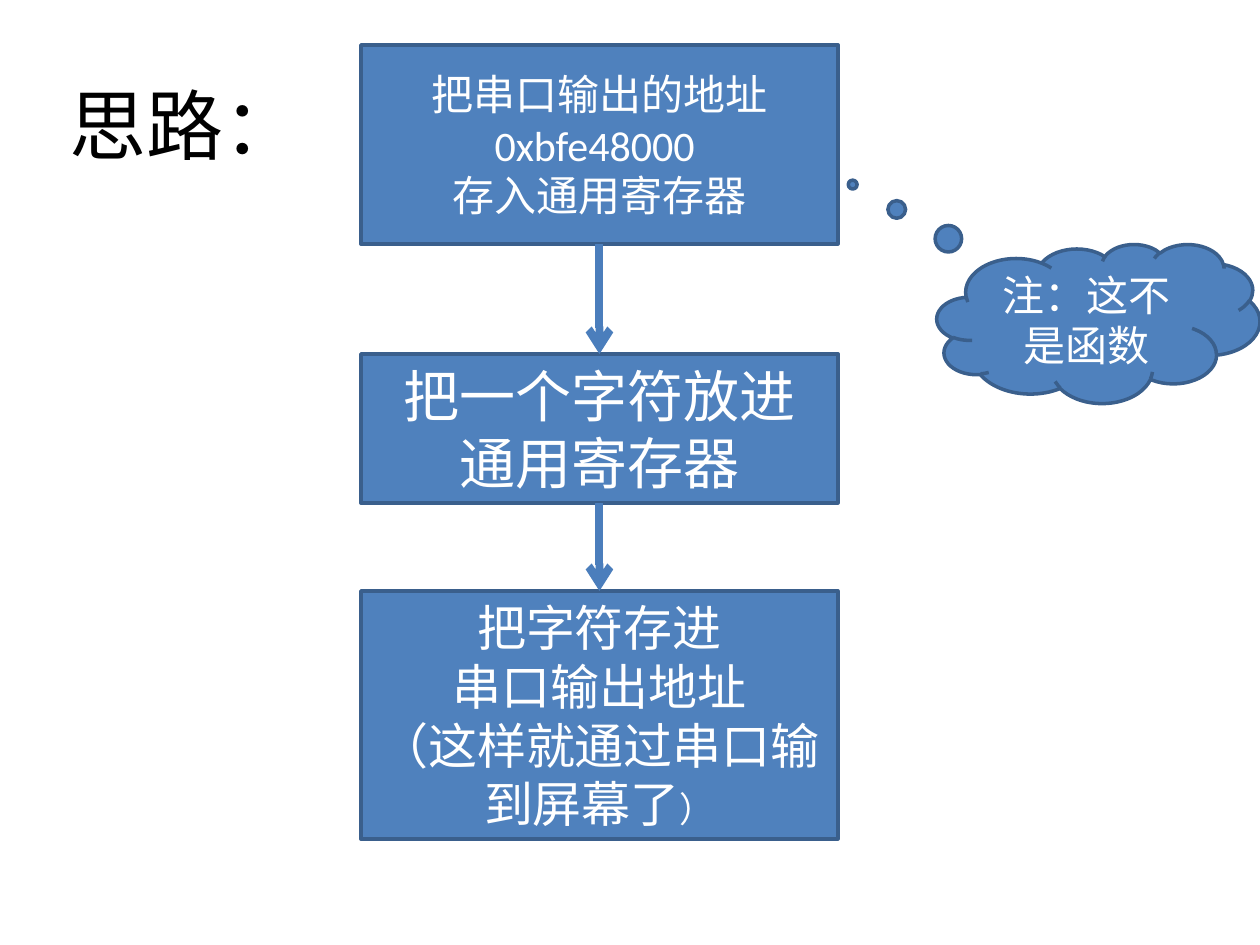
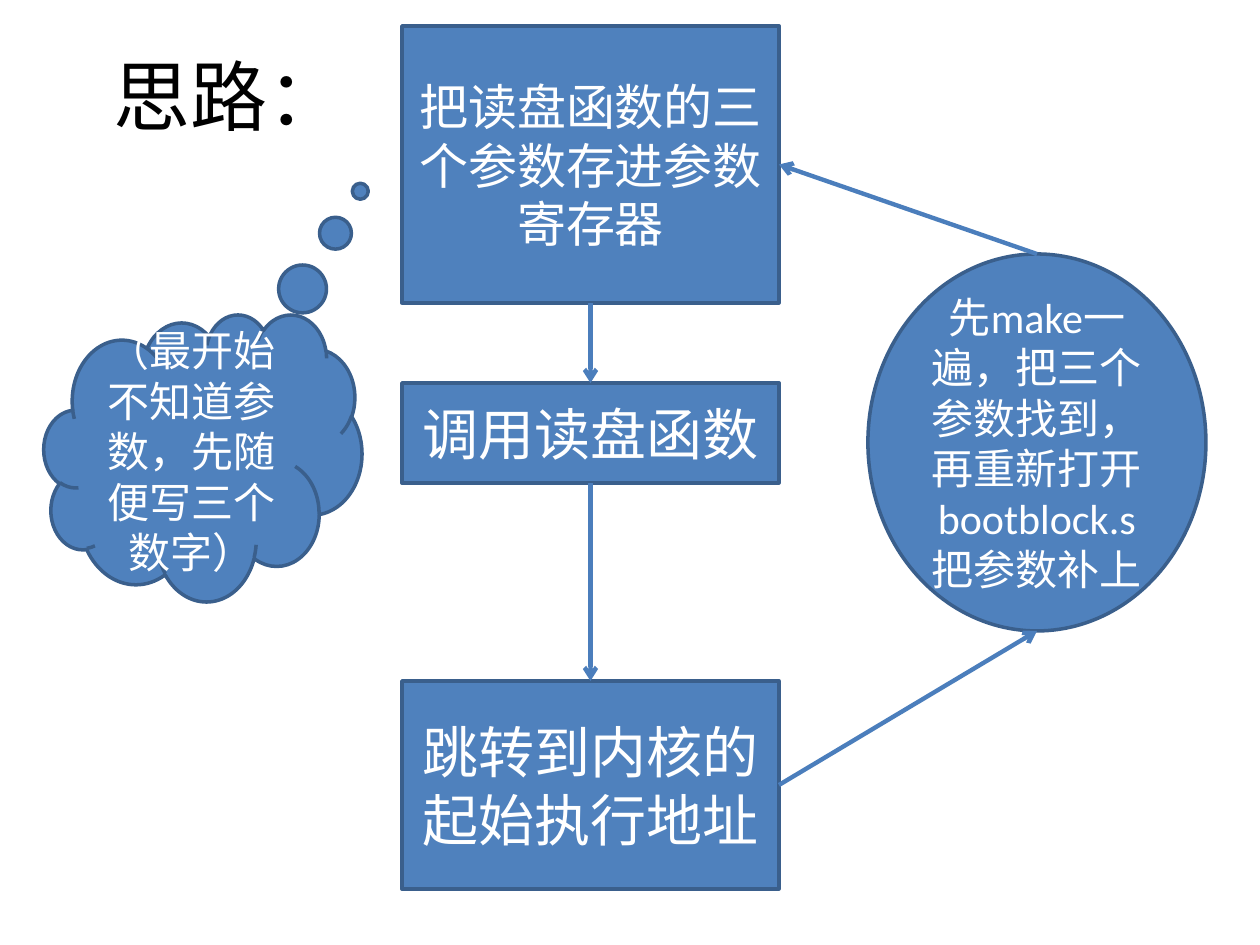
import pptx
import pptx.dml.color
import pptx.enum.shapes
import pptx.enum.text
import pptx.oxml
import pptx.oxml.ns
import pptx.util

PX = 7257  # EMU in one px, 126 px to the inch
FONT = "Calibri"
BLACK = "000000"
WHITE = "FFFFFF"
BLUE = "4F81BD"
OUTLINE = "3A5F8C"
ARROW = "4B7EBC"
TOP, BOTTOM, RIGHT = 0, 2, 3

colour = pptx.dml.color.RGBColor.from_string
preset = pptx.enum.shapes.MSO_SHAPE


def add_block(slide, kind, box, lines):
    """Add a centred text block; kind None gives a plain black text box.

    Each line is a list of (text, point size) runs.
    """
    left, top, width, height = [length * PX for length in box]
    if kind is None:
        shape = slide.shapes.add_textbox(left, top, width, height)
    else:
        shape = slide.shapes.add_shape(kind, left, top, width, height)
        shape.shadow.inherit = False
        shape.fill.solid()
        shape.fill.fore_color.rgb = colour(BLUE)
        shape.line.color.rgb = colour(OUTLINE)
        shape.line.width = pptx.util.Pt(2)
    frame = shape.text_frame
    frame.word_wrap = True
    frame.vertical_anchor = pptx.enum.text.MSO_ANCHOR.MIDDLE
    for index, line in enumerate(lines):
        paragraph = frame.add_paragraph() if index else frame.paragraphs[0]
        paragraph.alignment = pptx.enum.text.PP_ALIGN.CENTER
        for text, size in line:
            run = paragraph.add_run()
            run.text = text
            run.font.name = FONT
            run.font.size = pptx.util.Pt(size)
            run.font.color.rgb = colour(BLACK if kind is None else WHITE)
    return shape


def add_arrow(slide, width, start, side):
    """Add an arrow joined to the start shape; the caller sets its end."""
    arrow = slide.shapes.add_connector(
        pptx.enum.shapes.MSO_CONNECTOR.STRAIGHT, 0, 0, 0, 0)
    arrow.begin_connect(start, side)
    arrow.line.color.rgb = colour(ARROW)
    arrow.line.width = pptx.util.Pt(width)
    tail = pptx.oxml.parse_xml(
        f'<a:tailEnd {pptx.oxml.ns.nsdecls("a")} type="arrow"/>')
    arrow.line._get_or_add_ln().append(tail)
    effects = pptx.oxml.parse_xml(f'<a:effectLst {pptx.oxml.ns.nsdecls("a")}/>')
    arrow._element.spPr.append(effects)
    return arrow


presentation = pptx.Presentation()
presentation.slide_width = pptx.util.Inches(10)
presentation.slide_height = pptx.util.Inches(7.5)

flows = [
    {
        "title": (15, 45, 340, 158),
        "column": (361, 477),
        "steps": [
            (45, 199, [[("把串口输出的地址0xbfe48000 ", 24)],
                       [("存入通用寄存器", 24)]]),
            (354, 149, [[("把一个字符放进", 32)], [("通用寄存器", 32)]]),
            (591, 248, [[("把字符存进", 28)], [("串口输出地址", 28)],
                        [("（这样就通过串口输到屏幕了", 28), ("）", 20)]]),
        ],
        "arrow width": 4.5,
        "cloud": (937, 244, 323, 159),
        "cloud tip": (-0.761, -0.874),
        "cloud text": "注：这不是函数",
    },
    {
        "title": (15, 26, 428, 137),
        "column": (402, 377),
        "steps": [
            (26, 277, [[("把读盘函数的三个参数存进参数寄存器", 28)]]),
            (383, 100, [[("调用读盘函数", 32)]]),
            (681, 208, [[("跳转到内核的", 32)], [("起始执行地址", 32)]]),
        ],
        "arrow width": 2.5,
        "cloud": (44, 314, 318, 287),
        "cloud tip": (0.495, -0.928),
        "cloud text": "（最开始不知道参数，先随便写三个数字）",
    },
]

for flow in flows:
    slide = presentation.slides.add_slide(presentation.slide_layouts[6])
    add_block(slide, None, flow["title"], [[("思路：", 44)]])

    left, width = flow["column"]
    steps = [add_block(slide, preset.RECTANGLE, (left, top, width, height), lines)
             for top, height, lines in flow["steps"]]
    for upper, lower in zip(steps, steps[1:]):
        arrow = add_arrow(slide, flow["arrow width"], upper, BOTTOM)
        arrow.end_connect(lower, TOP)

    cloud = add_block(slide, preset.CLOUD_CALLOUT, flow["cloud"],
                      [[(flow["cloud text"], 24)]])
    cloud.adjustments[0], cloud.adjustments[1] = flow["cloud tip"]

# The second flow loops back to its first step through the ellipse.
rebuild = add_block(
    slide, preset.OVAL, (868, 254, 338, 377),
    [[("先make一遍，把三个参数找到，再重新打开bootblock.s把参数补上", 24)]])
arrow = add_arrow(slide, flow["arrow width"], steps[-1], RIGHT)
arrow.end_x = rebuild.left + rebuild.width // 2
arrow.end_y = rebuild.top + rebuild.height
arrow = add_arrow(slide, flow["arrow width"], rebuild, TOP)
arrow.end_connect(steps[0], RIGHT)

presentation.save("out.pptx")
